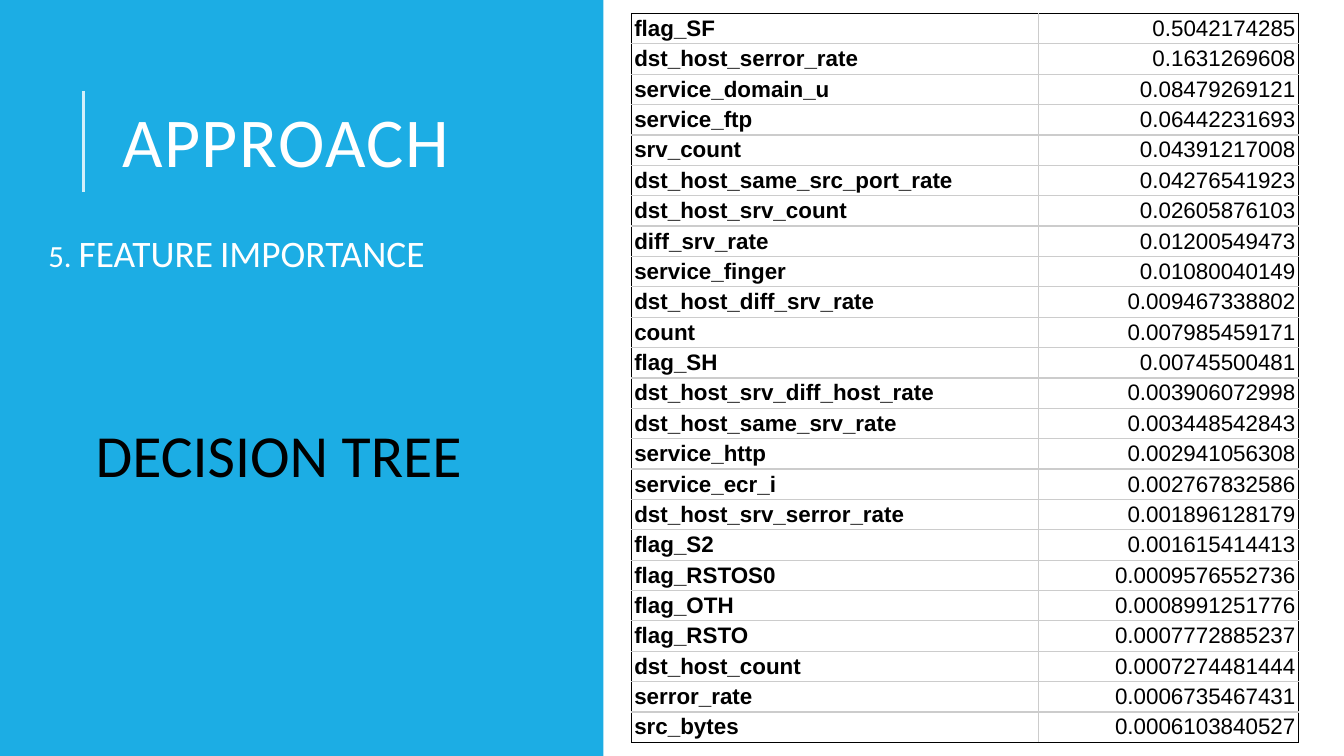
from lxml.etree import SubElement
from pptx import Presentation
from pptx.dml.color import RGBColor
from pptx.enum.shapes import MSO_CONNECTOR, MSO_SHAPE
from pptx.enum.text import MSO_ANCHOR, PP_ALIGN
from pptx.oxml.ns import qn
from pptx.util import Inches, Pt

SKY = RGBColor(0x1C, 0xAD, 0xE4)
PALE_SKY = RGBColor(0xD2, 0xEF, 0xFA)
WHITE = RGBColor(0xFF, 0xFF, 0xFF)
BLACK = RGBColor(0x00, 0x00, 0x00)
GREY = RGBColor(0xCC, 0xCC, 0xCC)

# The slide is a grid of square cells.
COLUMNS, ROWS = 400, 225
CELL = Inches(10) // COLUMNS

IMPORTANCES = [
    ("flag_SF", "0.5042174285"),
    ("dst_host_serror_rate", "0.1631269608"),
    ("service_domain_u", "0.08479269121"),
    ("service_ftp", "0.06442231693"),
    ("srv_count", "0.04391217008"),
    ("dst_host_same_src_port_rate", "0.04276541923"),
    ("dst_host_srv_count", "0.02605876103"),
    ("diff_srv_rate", "0.01200549473"),
    ("service_finger", "0.01080040149"),
    ("dst_host_diff_srv_rate", "0.009467338802"),
    ("count", "0.007985459171"),
    ("flag_SH", "0.00745500481"),
    ("dst_host_srv_diff_host_rate", "0.003906072998"),
    ("dst_host_same_srv_rate", "0.003448542843"),
    ("service_http", "0.002941056308"),
    ("service_ecr_i", "0.002767832586"),
    ("dst_host_srv_serror_rate", "0.001896128179"),
    ("flag_S2", "0.001615414413"),
    ("flag_RSTOS0", "0.0009576552736"),
    ("flag_OTH", "0.0008991251776"),
    ("flag_RSTO", "0.0007772885237"),
    ("dst_host_count", "0.0007274481444"),
    ("serror_rate", "0.0006735467431"),
    ("src_bytes", "0.0006103840527"),
]


def grid(*cells):
    return [round(n * CELL) for n in cells]


def style_font(font, size, color, face="Calibri", bold=False):
    font.name, font.size, font.bold = face, Pt(size), bold
    font.color.rgb = color


def add_line_of_text(slide, box, pieces, color, anchor=MSO_ANCHOR.TOP):
    """Add a one-paragraph text box from (text, size) pieces."""
    frame = slide.shapes.add_textbox(*grid(*box)).text_frame
    frame.word_wrap = True
    frame.vertical_anchor = anchor
    frame.margin_left = frame.margin_right = Inches(0.07)
    frame.margin_top = frame.margin_bottom = Inches(0.04)
    paragraph = frame.paragraphs[0]
    for text, size in pieces:
        run = paragraph.add_run()
        run.text = text
        style_font(run.font, size, color)
    return paragraph


def add_title_panel(slide, left, top, width, height):
    panel = slide.shapes.add_shape(
        MSO_SHAPE.RECTANGLE, *grid(left, top, width, height))
    panel.shadow.inherit = False
    panel.fill.solid()
    panel.fill.fore_color.rgb = SKY
    panel.line.fill.background()

    title = add_line_of_text(
        slide, (left + 33.6, top + 19.2, 124, 49.2),
        [("APPROACH", 37.5)], WHITE, MSO_ANCHOR.MIDDLE)
    title.line_spacing = 0.8
    title.runs[0].font._element.set("spc", "80")

    rule_x = left + 24.8
    rule = slide.shapes.add_connector(
        MSO_CONNECTOR.STRAIGHT, *grid(rule_x, top + 57.2, rule_x, top + 27.2))
    rule.line.color.rgb = PALE_SKY
    rule.line.width = Pt(1.5)
    SubElement(rule._element.spPr, qn("a:effectLst"))

    step = add_line_of_text(
        slide, (left + 11.6, top + 68.4, 160.8, 30),
        [("5. ", 16.5), ("FEATURE", 20), (" ", 16.5), ("IMPORTANCE", 20)],
        WHITE)
    step.line_spacing = 0.9
    step.space_after = Pt(6)

    model = add_line_of_text(
        slide, (left + 17.2, top + 122.8, 131.6, 25.6),
        [("DECISION TREE", 32)], BLACK)
    model.alignment = PP_ALIGN.CENTER


def set_border(cell, side, color):
    line = SubElement(cell._tc.get_or_add_tcPr(), qn(f"a:ln{side}"),
                      w=str(Pt(0.75)))
    fill = SubElement(line, qn("a:solidFill"))
    SubElement(fill, qn("a:srgbClr"), val=str(color))


def add_importance_table(slide, left, top, width, height):
    count = len(IMPORTANCES)
    table = slide.shapes.add_table(
        count, 2, *grid(left, top, width, height)).table
    table.first_row = table.horz_banding = False
    for column, share in zip(table.columns, (0.61, 0.39)):
        column.width = round(width * share * CELL)
    for row in table.rows:
        row.height = round(height / count * CELL)

    for r, entry in enumerate(IMPORTANCES):
        for c, text in enumerate(entry):
            cell = table.cell(r, c)
            cell.margin_left = cell.margin_right = Inches(0.02)
            cell.margin_top = cell.margin_bottom = Inches(0.01)
            cell.vertical_anchor = MSO_ANCHOR.MIDDLE
            cell.text_frame.text = text
            paragraph = cell.text_frame.paragraphs[0]
            paragraph.alignment = PP_ALIGN.RIGHT if c else PP_ALIGN.LEFT
            style_font(paragraph.runs[0].font, 12, BLACK, "Arial", c == 0)
            outer_edges = {"L": c == 0, "R": c == 1,
                           "T": r == 0, "B": r == count - 1}
            for side, outer in outer_edges.items():
                set_border(cell, side, BLACK if outer else GREY)
            cell.fill.background()


def main():
    deck = Presentation()
    deck.slide_width, deck.slide_height = grid(COLUMNS, ROWS)
    slide = deck.slides.add_slide(deck.slide_layouts[6])
    add_title_panel(slide, 0, 0, 179.6, ROWS)
    add_importance_table(slide, 188, 4, 198.4, 217.2)
    deck.save("out.pptx")


if __name__ == "__main__":
    main()
